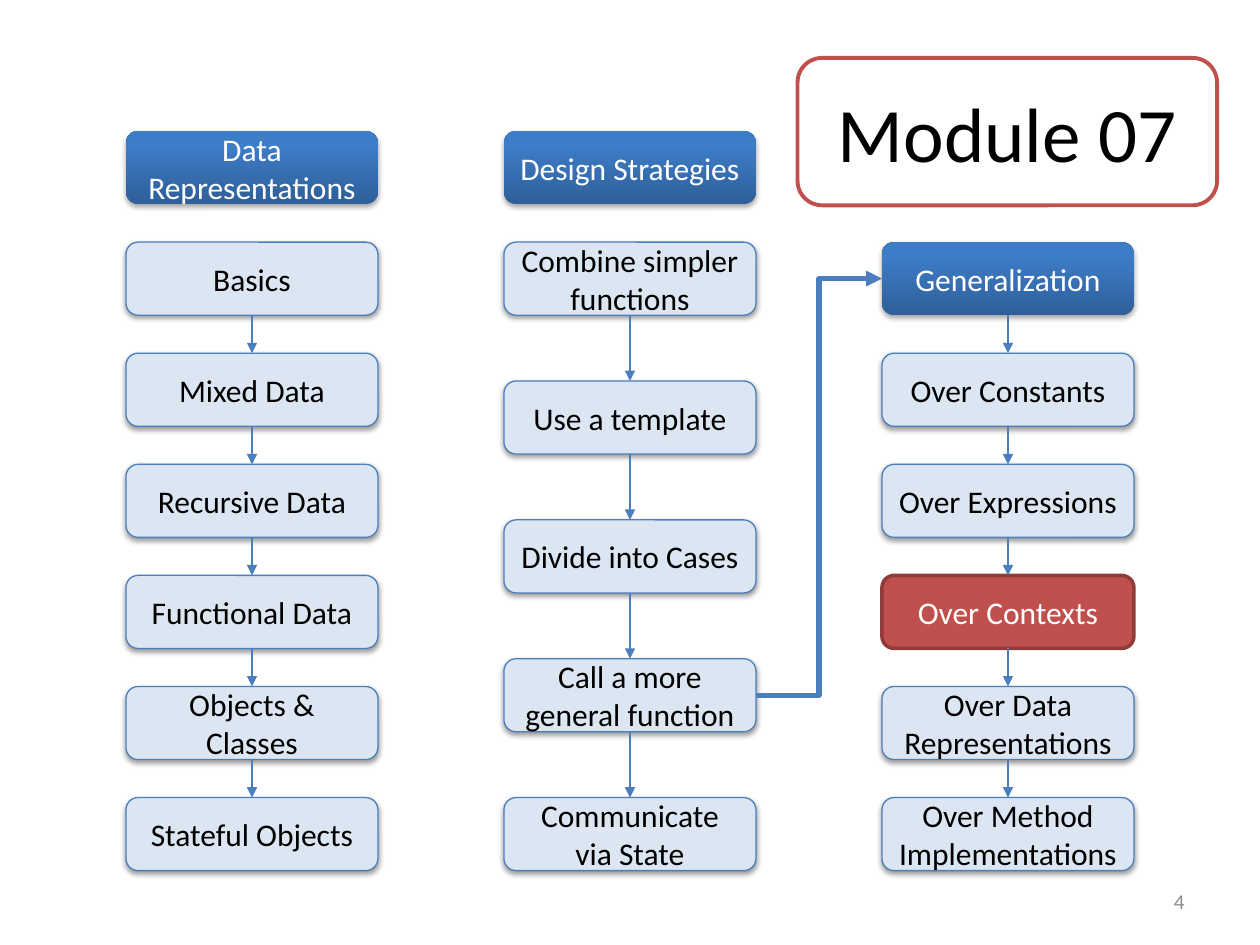
"""Build the course map slide that places Module 07 among three columns of topics."""
from lxml import etree
from pptx import Presentation
from pptx.dml.color import RGBColor
from pptx.enum.shapes import MSO_CONNECTOR, MSO_SHAPE
from pptx.enum.text import MSO_ANCHOR, PP_ALIGN
from pptx.oxml.ns import qn
from pptx.util import Inches, Pt

ROUNDED = MSO_SHAPE.ROUNDED_RECTANGLE
STRAIGHT, ELBOW = MSO_CONNECTOR.STRAIGHT, MSO_CONNECTOR.ELBOW
CENTER, RIGHT, MIDDLE = PP_ALIGN.CENTER, PP_ALIGN.RIGHT, MSO_ANCHOR.MIDDLE
TOP_SITE, LEFT_SITE, BOTTOM_SITE, RIGHT_SITE = range(4)

COLORS = {
    name: RGBColor.from_string(value)
    for name, value in {
        "header_bottom": "2F5F99", "header_top": "3D7CC7", "topic": "DCE6F2",
        "blue_line": "4B7EBC", "red": "C0504D", "dark_red": "8E3B39",
        "white": "FFFFFF", "black": "000000", "gray": "8C8C8C",
    }.items()
}
BOX_WIDTH, BOX_HEIGHT = 2, 0.58
FIRST_TOP, LAST_TOP, LAST_ROW = 1.04, 6.33, 6
ROW_PITCH = (LAST_TOP - FIRST_TOP) / LAST_ROW
CURRENT_TOPIC = "Over Contexts"
COLUMNS = [
    (1, 0, 1, "Data Representations", [
        "Basics", "Mixed Data", "Recursive Data", "Functional Data",
        "Objects & Classes", "Stateful Objects"]),
    (4, 0, 1, "Design Strategies", [
        "Combine simpler functions", "Use a template", "Divide into Cases",
        "Call a more general function", "Communicate via State"]),
    (7, 1, 2, "Generalization", [
        "Over Constants", "Over Expressions", CURRENT_TOPIC,
        "Over Data Representations", "Over Method Implementations"]),
]

presentation = Presentation()
presentation.slide_width, presentation.slide_height = Inches(10), Inches(7.5)
slide = presentation.slides.add_slide(presentation.slide_layouts[6])


def add_box(text, left, top, width, height, kind, size=18):
    shape = slide.shapes.add_shape(
        ROUNDED, Inches(left), Inches(top), Inches(width), Inches(height))
    shape.shadow.inherit = False
    if kind == "header":
        shape.fill.gradient()
        shape.fill.gradient_angle = 90
        bottom, top_stop = shape.fill.gradient_stops
        bottom.color.rgb, bottom.position = COLORS["header_bottom"], 0
        top_stop.color.rgb, top_stop.position = COLORS["header_top"], 0.8
        shape.line.fill.background()
    else:
        fill, line, weight = {
            "topic": ("topic", "blue_line", 0.75),
            "current": ("red", "dark_red", 2),
            "title": (None, "red", 2.25),
        }[kind]
        if fill:
            shape.fill.solid()
            shape.fill.fore_color.rgb = COLORS[fill]
        else:
            shape.fill.background()
        shape.line.color.rgb, shape.line.width = COLORS[line], Pt(weight)
    if kind in ("header", "topic"):
        distance, alpha = (1.8, 35) if kind == "header" else (1.6, 38)
        effects = shape.element.spPr.find(qn("a:effectLst"))
        shadow = etree.SubElement(
            effects, qn("a:outerShdw"), blurRad=str(Pt(3.1)), dist=str(Pt(distance)),
            dir="5400000", rotWithShape="0")
        color = etree.SubElement(shadow, qn("a:srgbClr"), val=str(COLORS["black"]))
        etree.SubElement(color, qn("a:alpha"), val=str(alpha * 1000))
    frame = shape.text_frame
    frame.word_wrap, frame.vertical_anchor = True, MIDDLE
    paragraph = frame.paragraphs[0]
    paragraph.text, paragraph.alignment = text, CENTER
    paragraph.font.name, paragraph.font.size = "Calibri", Pt(size)
    light = kind in ("header", "current")
    paragraph.font.color.rgb = COLORS["white" if light else "black"]
    return shape


def add_arrow(kind, start, start_site, end, end_site, weight):
    connector = slide.shapes.add_connector(kind, 0, 0, 0, 0)
    connector.begin_connect(start, start_site)
    connector.end_connect(end, end_site)
    connector.line.color.rgb, connector.line.width = COLORS["blue_line"], Pt(weight)
    etree.SubElement(connector.line._get_or_add_ln(), qn("a:tailEnd"), type="triangle")
    etree.SubElement(connector.element.spPr, qn("a:effectLst"))


boxes = {}
for left, header_row, first_row, header, topics in COLUMNS:
    header_top = FIRST_TOP + header_row * ROW_PITCH
    boxes[header] = add_box(header, left, header_top, BOX_WIDTH, BOX_HEIGHT, "header")
    first_top = FIRST_TOP + first_row * ROW_PITCH
    topic_pitch = (LAST_TOP - first_top) / (len(topics) - 1)
    for index, topic in enumerate(topics):
        kind = "current" if topic == CURRENT_TOPIC else "topic"
        boxes[topic] = add_box(
            topic, left, first_top + index * topic_pitch, BOX_WIDTH, BOX_HEIGHT, kind)
    chain = [header] + topics if header == "Generalization" else topics
    for upper, lower in zip(chain, chain[1:]):
        add_arrow(STRAIGHT, boxes[upper], BOTTOM_SITE, boxes[lower], TOP_SITE, 0.75)

add_arrow(ELBOW, boxes["Call a more general function"], RIGHT_SITE,
          boxes["Generalization"], LEFT_SITE, 3)
add_box("Module 07", 6.33, 0.46, 3.33, 1.17, "title", 44)

number_box = slide.shapes.add_textbox(Inches(7.17), Inches(6.95), Inches(2.33), Inches(0.4))
number_box.text_frame.word_wrap = True
number_box.text_frame.vertical_anchor = MIDDLE
paragraph = number_box.text_frame.paragraphs[0]
paragraph.text, paragraph.alignment = "4", RIGHT
paragraph.font.name, paragraph.font.size = "Calibri", Pt(12)
paragraph.font.color.rgb = COLORS["gray"]

presentation.save("out.pptx")
